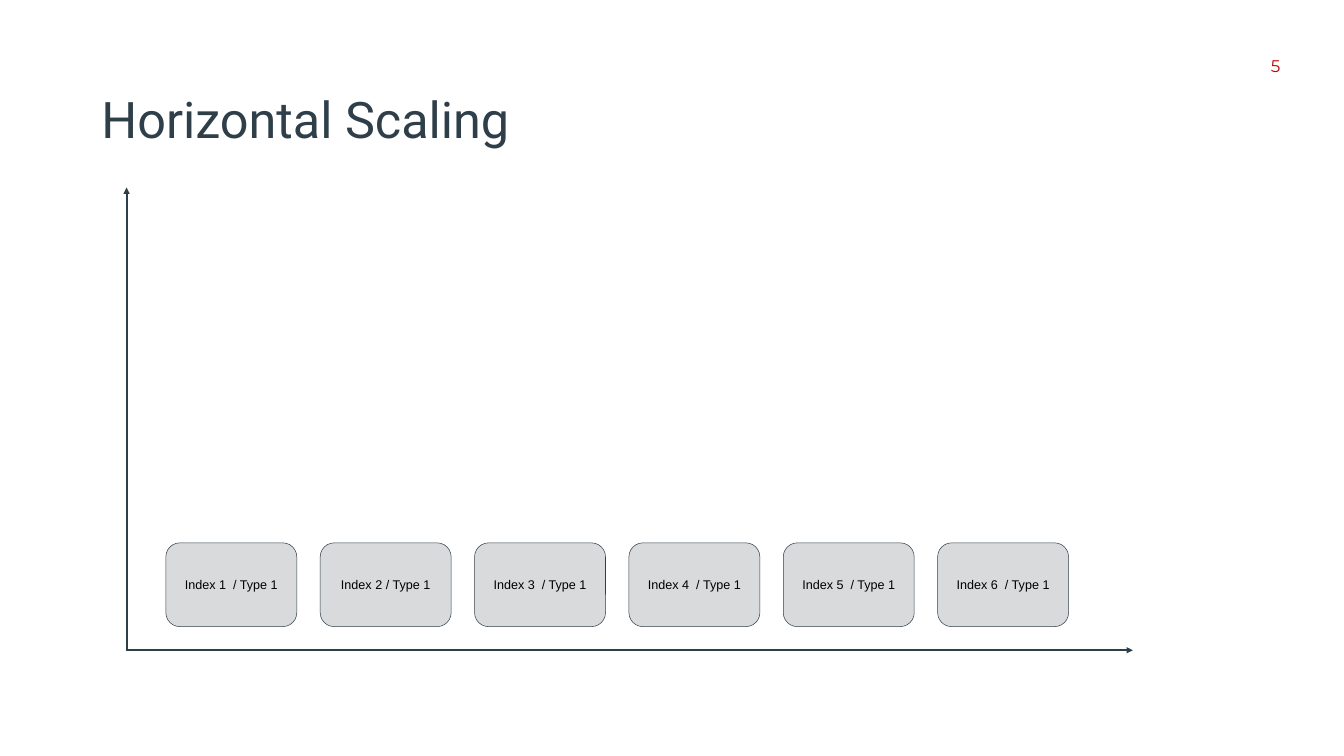
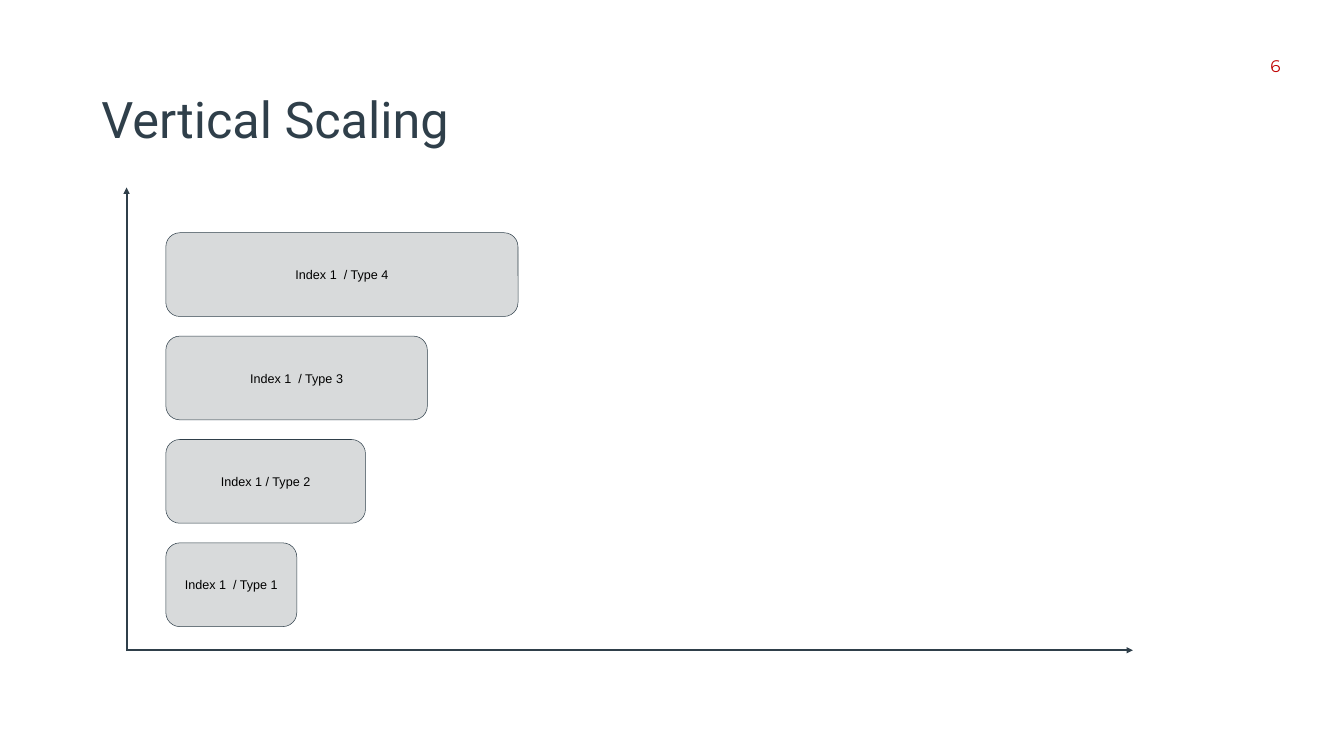
"""Build two slides that contrast horizontal and vertical scaling."""
from dataclasses import dataclass

from lxml.etree import SubElement as Sub
from pptx import Presentation as Deck
from pptx.dml.color import RGBColor as Rgb
from pptx.enum.shapes import MSO_CONNECTOR as Link, MSO_SHAPE as Shape
from pptx.enum.text import MSO_ANCHOR as Anchor, PP_ALIGN as Align
from pptx.oxml.ns import qn
from pptx.util import Cm, Pt


@dataclass(frozen=True)
class Theme:
    """Hold the colours, type and line widths of the deck."""
    ink: Rgb = Rgb.from_string("2F3F4A")
    red: Rgb = Rgb.from_string("C00000")
    gray: Rgb = Rgb.from_string("D8DADB")
    black: Rgb = Rgb.from_string("000000")
    title: tuple = ("Roboto", Pt(72))
    page: tuple = ("Montserrat", Pt(24))
    label: tuple = ("Arial", Pt(18))
    axis: int = Pt(3)
    edge: int = Pt(0.75)


THEME = Theme()
LEFT, BASE = 8.36, 27.36
WIDE, HIGH = 6.6, 4.22
STEP_X, STEP_Y = 7.78, 5.21


def put(item, **values):
    """Set each named value on the item."""
    for name, value in values.items():
        setattr(item, name, value)


def write(shape, text, face, color, align, inset):
    """Fill a shape with one line of styled text."""
    frame = shape.text_frame
    sides = ("left", "top", "right", "bottom")
    put(frame, word_wrap=True, vertical_anchor=Anchor.MIDDLE,
        **{f"margin_{side}": Cm(inset) for side in sides})
    para = frame.paragraphs[0]
    para.alignment = align
    run = para.add_run()
    run.text = text
    name, size = face
    put(run.font, name=name, size=size)
    run.font.color.rgb = color


def add_text(slide, area, text, face, color, align=Align.LEFT):
    """Add a text box without insets."""
    box = slide.shapes.add_textbox(*map(Cm, area))
    write(box, text, face, color, align, 0)


def add_axis(slide, start, end):
    """Draw a line with an arrowhead at its end."""
    line = slide.shapes.add_connector(Link.STRAIGHT, *map(Cm, start + end))
    line.line.width = THEME.axis
    line.line.color.rgb = THEME.ink
    Sub(line.line._get_or_add_ln(), qn("a:tailEnd"), type="triangle")
    Sub(line._element.spPr, qn("a:effectLst"))


def add_box(slide, left, top, width, text):
    """Draw one rounded index box."""
    area = map(Cm, (left, top, width, HIGH))
    box = slide.shapes.add_shape(Shape.ROUNDED_RECTANGLE, *area)
    box.shadow.inherit = False
    box.fill.solid()
    box.fill.fore_color.rgb = THEME.gray
    box.line.width = THEME.edge
    box.line.color.rgb = THEME.ink
    write(box, text, THEME.label, THEME.black, Align.CENTER, 0.25)


def add_slide(deck, title, page):
    """Add a slide with its title, page number and axes."""
    slide = deck.slides.add_slide(deck.slide_layouts[6])
    add_text(slide, (5.11, 4.19, 45.75, 3.51), title, THEME.title, THEME.ink)
    add_text(slide, (63.68, 2.82, 1.22, 1.02), str(page), THEME.page,
             THEME.red, Align.CENTER)
    add_axis(slide, (6.38, 32.82), (6.38, 9.45))
    add_axis(slide, (6.38, 32.77), (57.1, 32.77))
    return slide


def add_row(slide, labels):
    """Set boxes of one width side by side."""
    for spot, text in enumerate(labels):
        add_box(slide, LEFT + spot * STEP_X, BASE, WIDE, text)


def add_stack(slide, bars):
    """Pile boxes of given widths from the base up."""
    for spot, (text, width) in enumerate(bars):
        add_box(slide, LEFT, BASE - spot * STEP_Y, width, text)


def main():
    """Build and save the deck."""
    deck = Deck()
    put(deck, slide_width=Cm(67.74), slide_height=Cm(38.1))
    add_row(add_slide(deck, "Horizontal Scaling", 5), (
        "Index 1  / Type 1", "Index 2 / Type 1", "Index 3  / Type 1",
        "Index 4  / Type 1", "Index 5  / Type 1", "Index 6  / Type 1"))
    add_stack(add_slide(deck, "Vertical Scaling", 6), (
        ("Index 1  / Type 1", WIDE), ("Index 1 / Type 2", 10.06),
        ("Index 1  / Type 3", 13.18), ("Index 1  / Type 4", 17.75)))
    deck.save("out.pptx")


if __name__ == "__main__":
    main()
